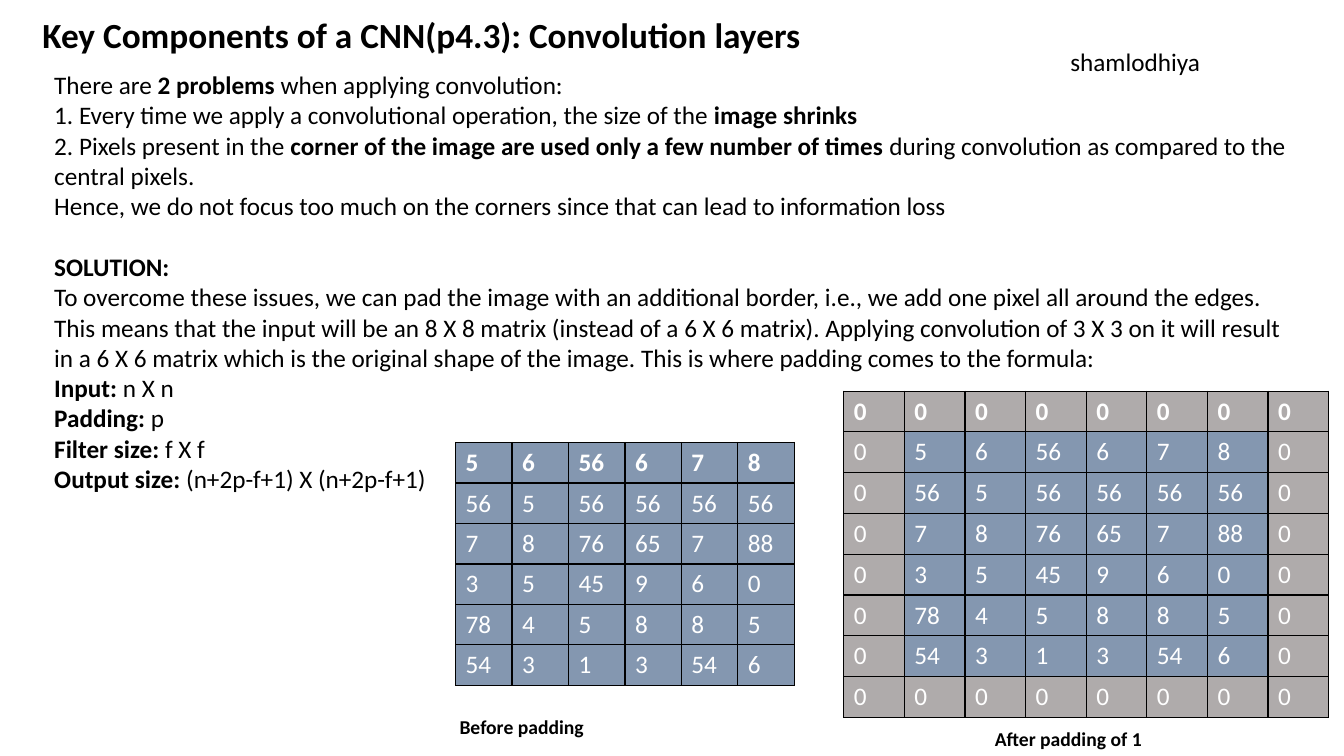
from dataclasses import dataclass

import lxml.etree
import pptx
import pptx.dml.color
import pptx.enum.text
import pptx.oxml.ns
import pptx.presentation
import pptx.slide
import pptx.text.text
import pptx.util

RGBColor = pptx.dml.color.RGBColor
BLACK = RGBColor(0x00, 0x00, 0x00)
WHITE = RGBColor(0xFF, 0xFF, 0xFF)
PIXEL_BLUE = RGBColor(0x84, 0x97, 0xB0)
PADDING_GREY = RGBColor(0xAF, 0xAB, 0xAB)

FONT = "Calibri"
SLIDE_WIDTH = pptx.util.Inches(13.33)
SLIDE_HEIGHT = pptx.util.Inches(7.5)
BORDER_WIDTH = pptx.util.Pt(1)
SECTION_GAP = 22


@dataclass(frozen=True)
class Area:
    """A rectangle in percent of the slide's width and height."""
    left: float
    top: float
    width: float
    height: float

    def to_emu(self) -> tuple[int, int, int, int]:
        return (round(SLIDE_WIDTH * self.left / 100), round(SLIDE_HEIGHT * self.top / 100),
                round(SLIDE_WIDTH * self.width / 100), round(SLIDE_HEIGHT * self.height / 100))


@dataclass(frozen=True)
class Label:
    text: str
    area: Area
    size: float
    bold: bool = False


@dataclass(frozen=True)
class PixelGrid:
    values: list[list[int]]
    area: Area
    padding: int = 0


TITLE = Label("Key Components of a CNN(p4.3): Convolution layers", Area(2.4, 1.33, 60.38, 7.2), 25.2, True)

EXPLANATION_AREA = Area(3.3, 8.53, 94.2, 57.87)
PROBLEMS = [
    "There are **2 problems **when applying convolution:",
    "1. Every time we apply a convolutional operation, the size of the **image shrinks**",
    "2. Pixels present in the **corner of the image are used only a few number of times**"
    " during convolution as compared to the central pixels.",
    "Hence, we do not focus too much on the corners since that can lead to information loss",
]
SOLUTION = [
    "**SOLUTION:**",
    "To overcome these issues, we can pad the image with an additional border, i.e., we add one pixel "
    "all around the edges. This means that the input will be an 8 X 8 matrix (instead of a 6 X 6 matrix). "
    "Applying convolution of 3 X 3 on it will result in a 6 X 6 matrix which is the original shape of the "
    "image. This is where padding comes to the formula:",
    "**Input:** n X n",
    "**Padding:** p",
    "**Filter size:** f X f",
    "**Output size:** (n+2p-f+1) X (n+2p-f+1)",
]

IMAGE = [
    [5, 6, 56, 6, 7, 8],
    [56, 5, 56, 56, 56, 56],
    [7, 8, 76, 65, 7, 88],
    [3, 5, 45, 9, 6, 0],
    [78, 4, 5, 8, 8, 5],
    [54, 3, 1, 3, 54, 6],
]


def pad(image: list[list[int]], width: int) -> list[list[int]]:
    """Surround the image with a border of zeros."""
    sides = [0] * width
    blank_row = [0] * (len(image[0]) + 2 * width)
    return [blank_row] * width + [sides + row + sides for row in image] + [blank_row] * width


GRIDS = [
    PixelGrid(IMAGE, Area(33.9, 58.53, 25.2, 32.13)),
    PixelGrid(pad(IMAGE, 1), Area(62.78, 51.73, 36.08, 43.2), padding=1),
]
LABELS = [
    Label("Before padding", Area(33.45, 93.87, 10.8, 4.53), 14, True),
    Label("After padding of 1", Area(73.28, 95.47, 12.53, 4.53), 14, True),
    Label("shamlodhiya", Area(78.9, 5.47, 11.25, 5.33), 18),
]


def write(paragraph: pptx.text.text._Paragraph, text: str, *, size: float = 18,
          color: RGBColor = BLACK, bold: bool = False, space_before: float = 0) -> None:
    """Fill a paragraph; text between double asterisks switches the weight."""
    paragraph.space_before = pptx.util.Pt(space_before)
    for index, part in enumerate(text.split("**")):
        if part:
            run = paragraph.add_run()
            run.text = part
            run.font.name = FONT
            run.font.size = pptx.util.Pt(size)
            run.font.color.rgb = color
            run.font.bold = bold != (index % 2 == 1)


def add_text_frame(slide: pptx.slide.Slide, area: Area, *, wrap: bool) -> pptx.text.text.TextFrame:
    frame = slide.shapes.add_textbox(*area.to_emu()).text_frame
    frame.word_wrap = wrap
    frame.auto_size = pptx.enum.text.MSO_AUTO_SIZE.SHAPE_TO_FIT_TEXT
    return frame


def place_title(slide: pptx.slide.Slide, label: Label) -> None:
    title = slide.shapes.title
    title.left, title.top, title.width, title.height = label.area.to_emu()
    title.text_frame.auto_size = pptx.enum.text.MSO_AUTO_SIZE.NONE
    title.text_frame.vertical_anchor = pptx.enum.text.MSO_ANCHOR.MIDDLE
    heading = title.text_frame.paragraphs[0]
    heading.alignment = pptx.enum.text.PP_ALIGN.LEFT
    heading.line_spacing = 0.9
    write(heading, label.text, size=label.size, bold=label.bold)


def add_explanation(slide: pptx.slide.Slide) -> None:
    frame = add_text_frame(slide, EXPLANATION_AREA, wrap=True)
    for index, text in enumerate(PROBLEMS + SOLUTION):
        paragraph = frame.add_paragraph() if index else frame.paragraphs[0]
        write(paragraph, text, space_before=SECTION_GAP if index == len(PROBLEMS) else 0)


def add_label(slide: pptx.slide.Slide, label: Label) -> None:
    frame = add_text_frame(slide, label.area, wrap=False)
    write(frame.paragraphs[0], label.text, size=label.size, bold=label.bold)


def add_borders(cell) -> None:
    properties = cell._tc.get_or_add_tcPr()
    qn = pptx.oxml.ns.qn
    for side in ("a:lnL", "a:lnR", "a:lnT", "a:lnB"):
        line = lxml.etree.SubElement(properties, qn(side), w=str(BORDER_WIDTH))
        fill = lxml.etree.SubElement(line, qn("a:solidFill"))
        lxml.etree.SubElement(fill, qn("a:srgbClr"), val=str(BLACK))


def add_pixel_grid(slide: pptx.slide.Slide, grid: PixelGrid) -> None:
    rows, columns = len(grid.values), len(grid.values[0])
    left, top, width, height = grid.area.to_emu()
    table = slide.shapes.add_table(rows, columns, left, top, width, height).table
    table.horz_banding = False
    for column in table.columns:
        column.width = width // columns
    for row in table.rows:
        row.height = height // rows
    for r, values in enumerate(grid.values):
        for c, value in enumerate(values):
            cell = table.cell(r, c)
            inside = (grid.padding <= r < rows - grid.padding
                      and grid.padding <= c < columns - grid.padding)
            add_borders(cell)
            cell.fill.solid()
            cell.fill.fore_color.rgb = PIXEL_BLUE if inside else PADDING_GREY
            write(cell.text_frame.paragraphs[0], str(value), color=WHITE, bold=r == 0)


def main() -> None:
    presentation = pptx.Presentation()
    presentation.slide_width = SLIDE_WIDTH
    presentation.slide_height = SLIDE_HEIGHT
    slide = presentation.slides.add_slide(presentation.slide_layouts.get_by_name("Title Only"))
    place_title(slide, TITLE)
    add_explanation(slide)
    for grid in GRIDS:
        add_pixel_grid(slide, grid)
    for label in LABELS:
        add_label(slide, label)
    presentation.save("out.pptx")


if __name__ == "__main__":
    main()
